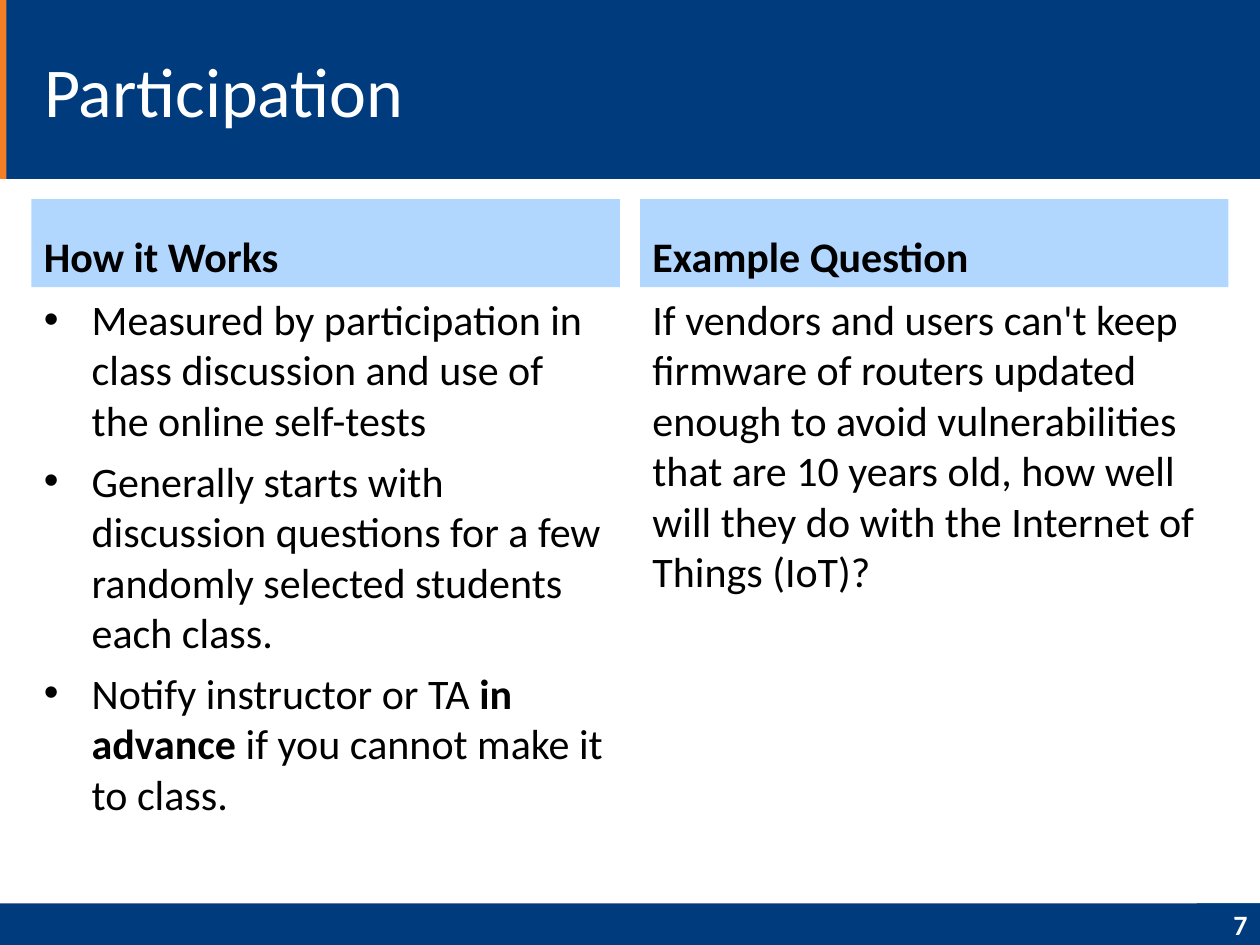
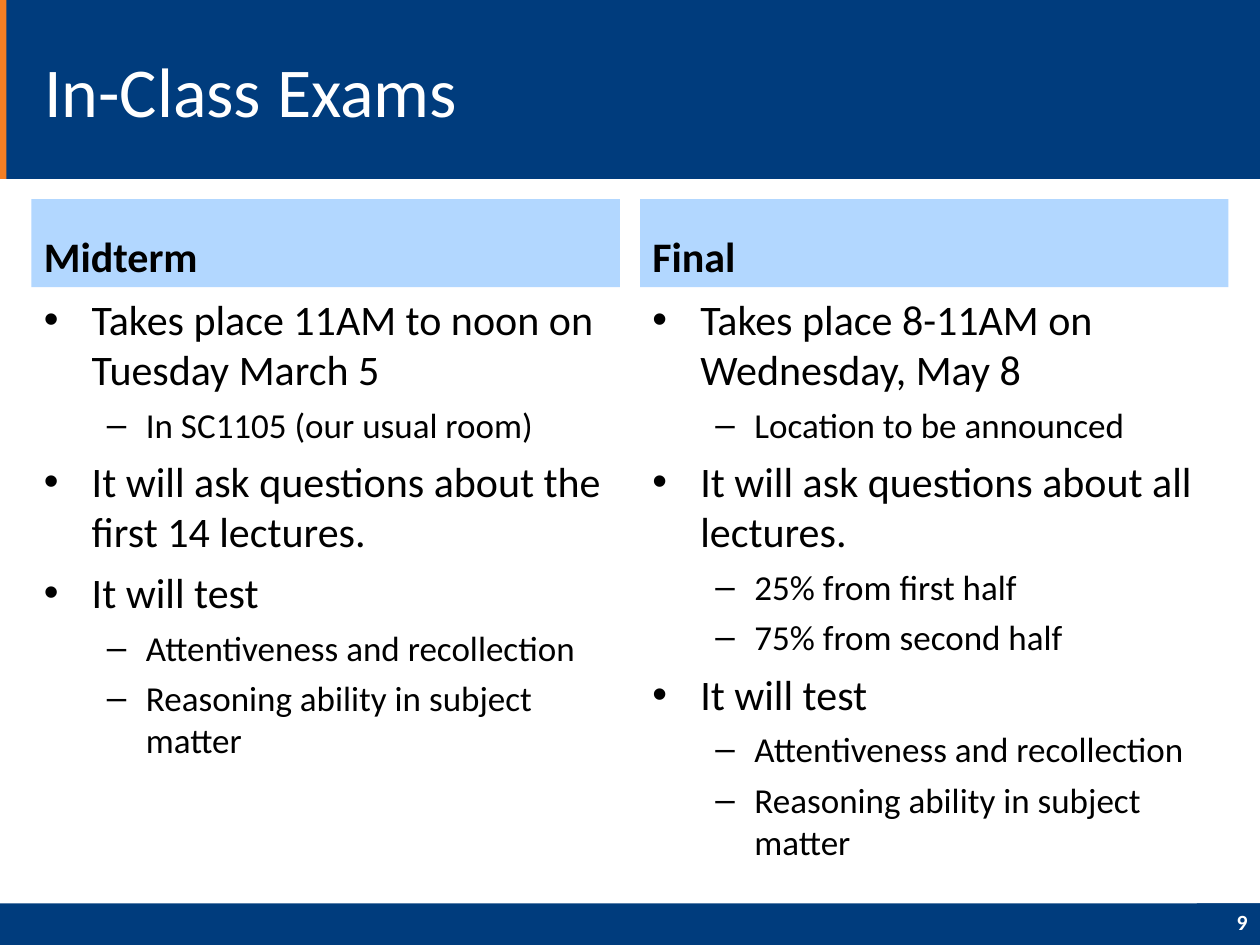
from dataclasses import dataclass

import lxml.etree
import pptx
import pptx.dml.color
import pptx.enum.shapes
import pptx.enum.text
import pptx.oxml.ns
import pptx.util

Inches = pptx.util.Inches
Pt = pptx.util.Pt
RGBColor = pptx.dml.color.RGBColor
Anchor = pptx.enum.text.MSO_ANCHOR
Align = pptx.enum.text.PP_ALIGN

NAVY = RGBColor(0x00, 0x3C, 0x7D)
ORANGE = RGBColor(0xF4, 0x7F, 0x24)
SKY = RGBColor(0xB2, 0xD7, 0xFF)
BLACK = RGBColor(0x00, 0x00, 0x00)
WHITE = RGBColor(0xFF, 0xFF, 0xFF)
FONT = "Calibri"

SLIDE_W, SLIDE_H = 10, 7.5
BAND_H = 1.42
FOOTER_H = 0.33
FOOTER_TOP = SLIDE_H - FOOTER_H
COLUMN_LEFTS = (0.25, 5.08)
COLUMN_W = 4.67
HEADING_TOP, HEADING_H = 1.58, 0.7
BODY_TOP, BODY_H = HEADING_TOP + HEADING_H, 4.72


@dataclass(frozen=True)
class Level:
    bullet: str
    margin: float
    hanging: float
    size: float
    before: float


PLAIN = Level("", 0, 0, 24, 6)
POINT = Level("•", 0.38, 0.38, 24, 6)
DETAIL = Level("–", 0.81, 0.31, 20, 5)


@dataclass(frozen=True)
class Item:
    level: Level
    runs: tuple[str, ...]
    bold_run: int = -1


@dataclass(frozen=True)
class Column:
    heading: str
    items: tuple[Item, ...]


@dataclass(frozen=True)
class Page:
    title: str
    number: str
    number_size: float
    number_spacing: float
    columns: tuple[Column, Column]


def point(*runs: str, bold_run: int = -1) -> Item:
    return Item(POINT, runs, bold_run)


def detail(text: str) -> Item:
    return Item(DETAIL, (text,))


TESTED = (
    point("It will test"),
    detail("Attentiveness and recollection"),
    detail("Reasoning ability in subject matter"),
)

PAGES = (
    Page("Participation", "7", 16, 1.0, (
        Column("How it Works", (
            point("Measured by participation in class discussion and use of the online self-tests"),
            point("Generally starts with discussion questions for a few randomly selected students each class."),
            point("Notify instructor or TA ", "in advance ", "if you cannot make it to class.", bold_run=1),
        )),
        Column("Example Question", (
            Item(PLAIN, (
                "If vendors and users can't keep firmware of routers updated enough to avoid "
                "vulnerabilities that are 10 years old, how well will they do with the "
                "Internet of Things (IoT)?",
            )),
        )),
    )),
    Page("In-Class Exams", "9", 12.4, 0.8, (
        Column("Midterm", (
            point("Takes place 11AM to noon on Tuesday March 5"),
            detail("In SC1105 (our usual room)"),
            point("It will ask questions about the first 14 lectures."),
            *TESTED,
        )),
        Column("Final", (
            point("Takes place 8-11AM on Wednesday, May 8"),
            detail("Location to be announced"),
            point("It will ask questions about all lectures."),
            detail("25% from first half"),
            detail("75% from second half"),
            *TESTED,
        )),
    )),
)


def style_font(font, size: float, color: RGBColor, bold: bool = False) -> None:
    font.name = FONT
    font.size = Pt(size)
    font.color.rgb = color
    font.bold = bold


def add_rect(s, left: float, top: float, width: float, height: float, fill: RGBColor):
    sp = s.shapes.add_shape(
        pptx.enum.shapes.MSO_SHAPE.RECTANGLE,
        Inches(left), Inches(top), Inches(width), Inches(height),
    )
    sp.shadow.inherit = False
    sp.fill.solid()
    sp.fill.fore_color.rgb = fill
    sp.line.fill.background()
    return sp


def write_line(sp, text: str, size: float, color: RGBColor, anchor, align, bold: bool = False):
    tf = sp.text_frame
    tf.word_wrap = True
    tf.vertical_anchor = anchor
    tf.text = text
    p = tf.paragraphs[0]
    p.alignment = align
    style_font(p.runs[0].font, size, color, bold)
    return p


def add_bullet(p, level: Level) -> None:
    pPr = p._p.get_or_add_pPr()
    pPr.set("marL", str(Inches(level.margin)))
    pPr.set("indent", str(-Inches(level.hanging)))
    font = lxml.etree.SubElement(pPr, pptx.oxml.ns.qn("a:buFont"))
    font.set("typeface", "Arial")
    char = lxml.etree.SubElement(pPr, pptx.oxml.ns.qn("a:buChar"))
    char.set("char", level.bullet)


def add_body(s, left: float, items: tuple[Item, ...]) -> None:
    sp = s.shapes.add_textbox(Inches(left), Inches(BODY_TOP), Inches(COLUMN_W), Inches(BODY_H))
    tf = sp.text_frame
    tf.word_wrap = True
    for i, item in enumerate(items):
        p = tf.add_paragraph() if i else tf.paragraphs[0]
        if item.level.bullet:
            add_bullet(p, item.level)
        if item.level is DETAIL:
            p.level = 1
        if i:
            p.space_before = Pt(item.level.before)
        for j, text in enumerate(item.runs):
            r = p.add_run()
            r.text = text
            style_font(r.font, item.level.size, BLACK, j == item.bold_run)


def add_column(s, left: float, column: Column) -> None:
    sp = add_rect(s, left, HEADING_TOP, COLUMN_W, HEADING_H, SKY)
    write_line(sp, column.heading, 24, BLACK, Anchor.BOTTOM, Align.LEFT, bold=True)
    add_body(s, left, column.items)


def place_title(s, text: str) -> None:
    sp = s.shapes.title
    sp.left, sp.top, sp.width, sp.height = Inches(0.25), Inches(0.17), Inches(7.33), Inches(1.08)
    write_line(sp, text, 40, WHITE, Anchor.MIDDLE, Align.LEFT)
    s.shapes.element.append(sp.element)


def add_page(prs, page: Page) -> None:
    s = prs.slides.add_slide(prs.slide_layouts[5])
    add_rect(s, 0, FOOTER_TOP, SLIDE_W, FOOTER_H, NAVY)
    add_rect(s, 0, 0, SLIDE_W, BAND_H, NAVY)
    add_rect(s, 0, 0, 0.05, BAND_H, ORANGE)
    for left, column in zip(COLUMN_LEFTS, page.columns):
        add_column(s, left, column)
    place_title(s, page.title)
    sp = add_rect(s, SLIDE_W - 0.5, FOOTER_TOP, 0.5, FOOTER_H, NAVY)
    p = write_line(sp, page.number, page.number_size, WHITE, Anchor.MIDDLE, Align.RIGHT, bold=True)
    p.line_spacing = page.number_spacing


def main() -> None:
    prs = pptx.Presentation()
    prs.slide_width, prs.slide_height = Inches(SLIDE_W), Inches(SLIDE_H)
    for page in PAGES:
        add_page(prs, page)
    prs.save("out.pptx")


if __name__ == "__main__":
    main()
